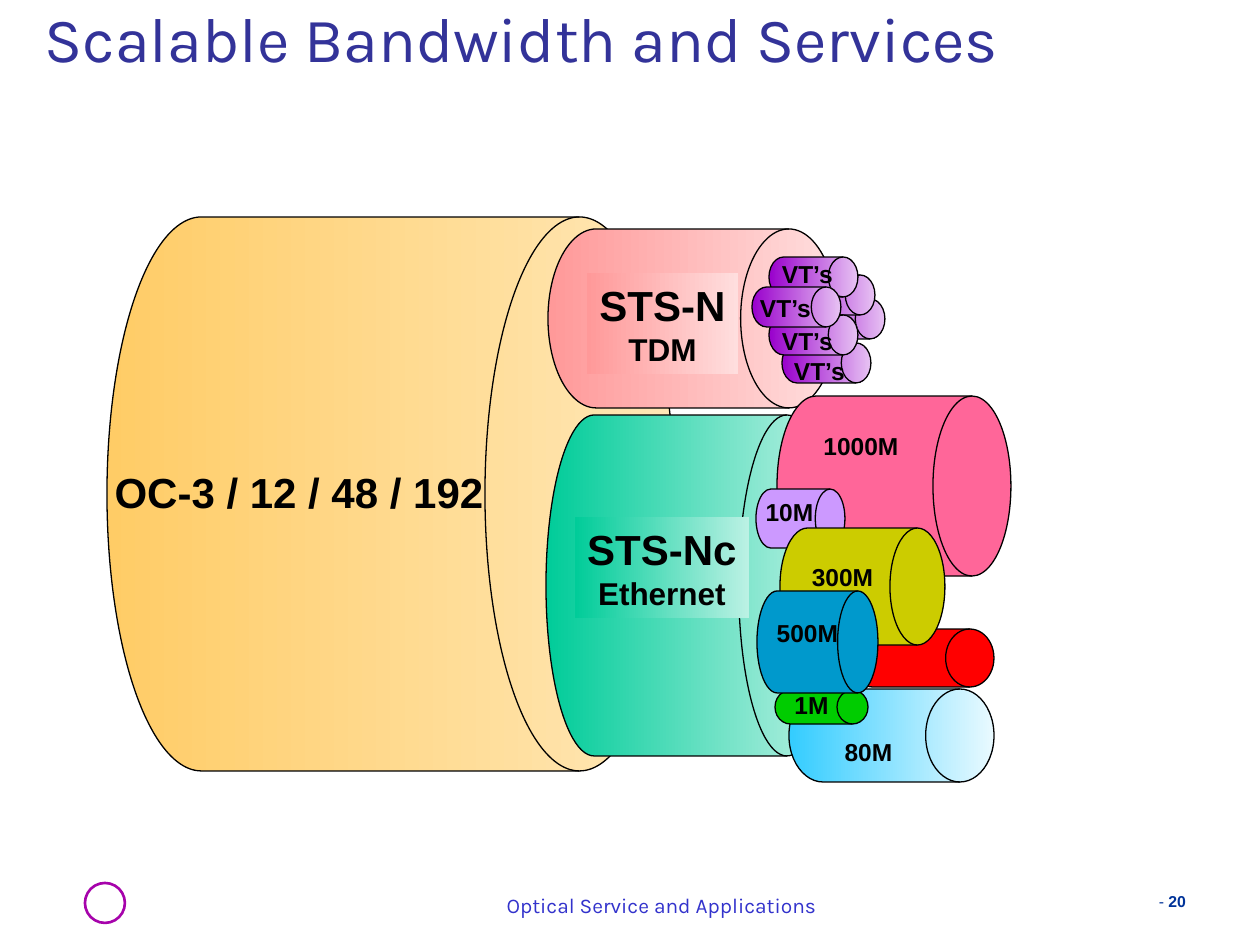
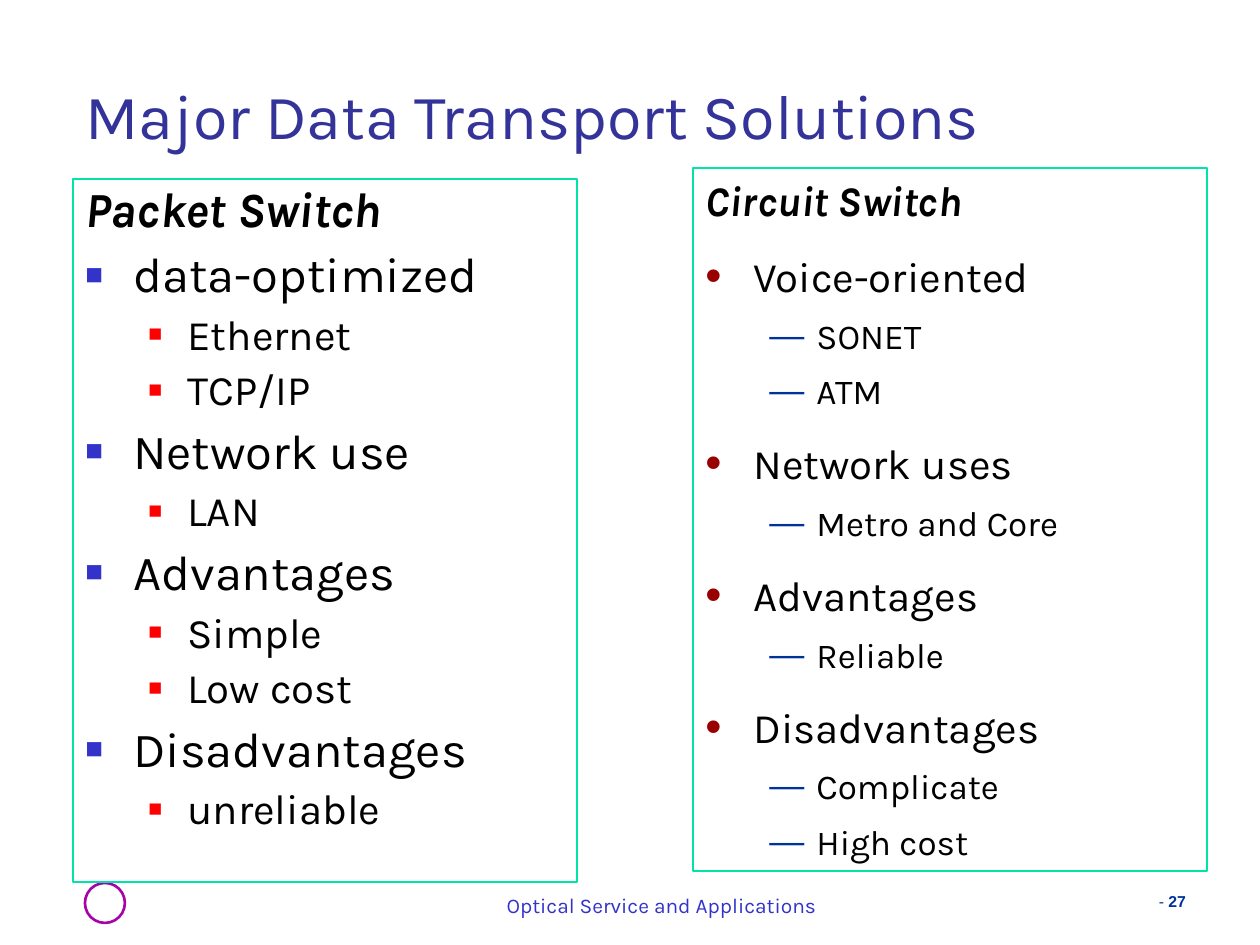
from lxml.etree import SubElement
from pptx import Presentation
from pptx.dml.color import RGBColor
from pptx.enum.shapes import MSO_SHAPE as Kind
from pptx.enum.text import MSO_ANCHOR as Anchor, MSO_AUTO_SIZE as AutoSize, PP_ALIGN as Align
from pptx.oxml.ns import qn
from pptx.util import Emu, Pt

PX = 914400 / 126
BLACK = RGBColor(0x00, 0x00, 0x00)
WHITE = RGBColor(0xFF, 0xFF, 0xFF)
TITLE_BLUE = RGBColor(0x33, 0x33, 0x99)
FOOTER_BLUE = RGBColor(0x33, 0x33, 0xCC)
NAVY = RGBColor(0x00, 0x33, 0x99)
PURPLE = RGBColor(0xA6, 0x03, 0xAB)
PANEL_GREEN = RGBColor(0x00, 0xE4, 0xA8)
RED = RGBColor(0xFF, 0x00, 0x00)
DARK_RED = RGBColor(0x99, 0x00, 0x00)
OC_FILL = (RGBColor(0xFF, 0xCC, 0x66), RGBColor(0xFF, 0xE7, 0xB6))
TDM_FILL = (RGBColor(0xFF, 0x99, 0x99), RGBColor(0xFF, 0xDE, 0xDE))
ETHERNET_FILL = (RGBColor(0x00, 0xCC, 0x99), RGBColor(0xBB, 0xF1, 0xE4))
VT_FILL = (RGBColor(0x99, 0x00, 0xCC), RGBColor(0xE7, 0xC2, 0xF3))
SKY_FILL = (RGBColor(0x33, 0xCC, 0xFF), RGBColor(0xE9, 0xFA, 0xFF))
GREEN = RGBColor(0x00, 0xCC, 0x00)
PINK = RGBColor(0xFF, 0x66, 0x99)
LILAC = RGBColor(0xCC, 0x99, 0xFF)
OLIVE = RGBColor(0xCC, 0xCC, 0x00)
BLUE = RGBColor(0x00, 0x99, 0xCC)
DRUM = Kind.FLOWCHART_DIRECT_ACCESS_STORAGE


def write(paragraph, text, size=14, color=BLACK, font="Arial", bold=False, italic=False, align=Align.LEFT):
    paragraph.alignment = align
    run = paragraph.add_run()
    run.text = text
    run.font.name = font
    run.font.size = Pt(size)
    run.font.color.rgb = color
    run.font.bold = bold
    run.font.italic = italic


def place(slide, box, kind=None, fill=None, line=None, weight=0.75, wrap=True, anchor=Anchor.TOP):
    bounds = [Emu(round(length * PX)) for length in box]
    if kind is None:
        part = slide.shapes.add_textbox(*bounds)
    else:
        part = slide.shapes.add_shape(kind, *bounds)
        part.shadow.inherit = False
        if fill is None:
            part.fill.background()
        elif isinstance(fill, RGBColor):
            part.fill.solid()
            part.fill.fore_color.rgb = fill
        else:
            part.fill.gradient()
            part.fill.gradient_angle = 0
            for stop, color in zip(part.fill.gradient_stops, fill):
                stop.color.rgb = color
        if line is None:
            part.line.fill.background()
        else:
            part.line.color.rgb = line
            part.line.width = Pt(weight)
    part.text_frame.word_wrap = wrap
    part.text_frame.vertical_anchor = anchor
    return part


deck = Presentation()
deck.slide_width = Emu(round(1260 * PX))
deck.slide_height = Emu(round(945 * PX))

pages = []
for heading, title_box, number in [
    ("Scalable Bandwidth and Services", (32, 21, 1228, 60), "20"),
    ("Major Data Transport Solutions", (73, 0, 1074, 158), "27"),
]:
    page = deck.slides.add_slide(deck.slide_layouts[5])
    title = page.shapes.title
    title.left, title.top, title.width, title.height = [Emu(round(length * PX)) for length in title_box]
    title.text_frame.auto_size = AutoSize.NONE
    title.text_frame.vertical_anchor = Anchor.BOTTOM
    write(title.text_frame.paragraphs[0], heading, size=36, color=TITLE_BLUE, font="Karla")

    page_number = place(page, (882, 892, 315, 19)).text_frame
    page_number.margin_top = page_number.margin_bottom = 0
    page_number.margin_left = page_number.margin_right = Emu(round(11 * PX))
    write(page_number.paragraphs[0], "- ", size=9, color=NAVY, align=Align.RIGHT)
    write(page_number.paragraphs[0], number, size=9, color=NAVY, bold=True, align=Align.RIGHT)

    place(page, (85, 883, 40, 40), Kind.OVAL, WHITE, PURPLE, 1.5)
    footer = place(page, (462, 861, 399, 63), anchor=Anchor.BOTTOM).text_frame
    write(footer.paragraphs[0], "Optical Service and Applications", size=12,
          color=FOOTER_BLUE, font="Karla", align=Align.CENTER)
    pages.append(page)

bandwidth, transport = pages

place(bandwidth, (849, 629, 145, 58), DRUM, RED, BLACK)
place(bandwidth, (107, 217, 567, 554), DRUM, OC_FILL, BLACK)
carrier = place(bandwidth, (102, 460, 394, 63), wrap=False).text_frame
write(carrier.paragraphs[0], "OC-3 / 12 / 48 / 192", size=24, bold=True, align=Align.CENTER)

for channel, service, drum_box, label_box, fill in [
    ("STS-N", "TDM", (548, 229, 289, 179), (587, 273, 151, 101), TDM_FILL),
    ("STS-Nc", "Ethernet", (546, 415, 289, 341), (575, 517, 174, 101), ETHERNET_FILL),
]:
    place(bandwidth, drum_box, DRUM, fill, BLACK)
    label = place(bandwidth, label_box, Kind.RECTANGLE, fill, wrap=False).text_frame.paragraphs[0]
    write(label, channel, size=24, bold=True, align=Align.CENTER)
    label.add_line_break()
    write(label, service, size=18, bold=True, align=Align.CENTER)

for left, top in [(796, 299), (786, 275), (769, 257), (782, 343), (769, 315), (752, 287)]:
    place(bandwidth, (left, top, 89, 40), DRUM, VT_FILL, BLACK)

for rate, drum_box, fill, (left, top, width) in [
    ("VT’s", None, None, (747, 287, 77)),
    ("VT’s", None, None, (769, 320, 77)),
    ("VT’s", None, None, (781, 350, 77)),
    ("VT’s", None, None, (769, 253, 77)),
    ("80M", (789, 689, 205, 93), SKY_FILL, (832, 731, 73)),
    ("1M", (775, 690, 93, 34), GREEN, (782, 684, 59)),
    ("1000M", (777, 396, 234, 180), PINK, (811, 425, 100)),
    ("10M", (756, 489, 89, 59), LILAC, (753, 491, 73)),
    ("300M", (780, 528, 165, 117), OLIVE, (799, 556, 87)),
    ("500M", (757, 591, 121, 102), BLUE, (764, 612, 87)),
]:
    if drum_box:
        place(bandwidth, drum_box, DRUM, fill, BLACK)
    label = place(bandwidth, (left, top, width, 43), wrap=False).text_frame
    write(label.paragraphs[0], rate, bold=True, align=Align.CENTER)

packet_levels = [
    (28, 7, 48, -48, "■", FOOTER_BLUE, 60),
    (24, 6, 102, -39, "■", RED, 55),
]
circuit_levels = [
    (24, 15, 48, -48, "•", DARK_RED, 110),
    (20, 7.5, 111, -47, "—", NAVY, 100),
]
packet_points = [
    ("data-optimized", ["Ethernet", "TCP/IP"]),
    ("Network use", ["LAN"]),
    ("Advantages", ["Simple", "Low cost"]),
    ("Disadvantages", ["unreliable"]),
]
circuit_points = [
    ("Voice-oriented", ["SONET", "ATM"]),
    ("Network uses", ["Metro and Core"]),
    ("Advantages", ["Reliable"]),
    ("Disadvantages", ["Complicate", "High cost"]),
]

for heading, panel_box, spacing, levels, points in [
    ("Packet Switch", (73, 179, 504, 703), 0.9, packet_levels, packet_points),
    ("Circuit Switch", (693, 168, 514, 703), 1.0, circuit_levels, circuit_points),
]:
    panel = place(transport, panel_box, Kind.RECTANGLE, line=PANEL_GREEN).text_frame
    panel.paragraphs[0].line_spacing = spacing
    write(panel.paragraphs[0], heading, size=levels[0][0], font="Karla", bold=True, italic=True)
    entries = [(level, text) for point, details in points
               for level, text in [(0, point)] + [(1, detail) for detail in details]]
    for level, text in entries:
        size, before, margin, indent, mark, mark_color, mark_size = levels[level]
        entry = panel.add_paragraph()
        entry.level = level
        properties = entry._p.get_or_add_pPr()
        properties.set("marL", str(round(margin * PX)))
        properties.set("indent", str(round(indent * PX)))
        SubElement(SubElement(properties, qn("a:buClr")), qn("a:srgbClr"), val=str(mark_color))
        SubElement(properties, qn("a:buSzPct"), val=str(mark_size * 1000))
        SubElement(properties, qn("a:buFont"), typeface="Arial")
        SubElement(properties, qn("a:buChar"), char=mark)
        entry.line_spacing = spacing
        entry.space_before = Pt(before)
        write(entry, text, size=size, font="Karla")

deck.save("out.pptx")
